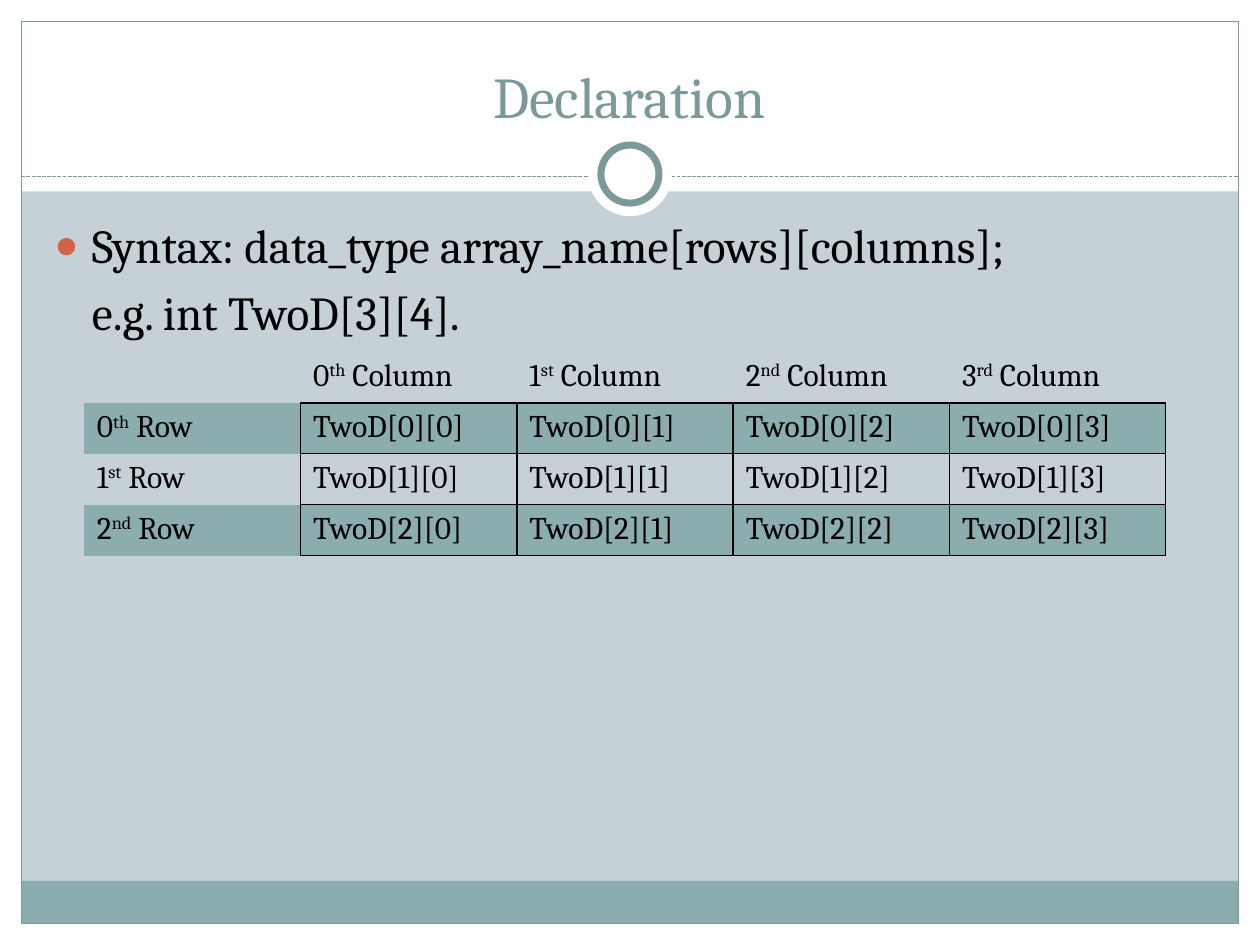
from collections import namedtuple

from lxml import etree
from pptx import Presentation
from pptx import util as u
from pptx.dml.color import RGBColor
from pptx.enum import dml, shapes, text
from pptx.oxml.ns import qn

WHITE = RGBColor(0xFF, 0xFF, 0xFF)
BLACK = RGBColor(0x00, 0x00, 0x00)
MIST = RGBColor(0xC5, 0xD1, 0xD7)
TEAL = RGBColor(0x8C, 0xAD, 0xAE)
SLATE = RGBColor(0x7C, 0x99, 0x9A)
RUST = RGBColor(0xD1, 0x63, 0x49)
FONT = "Cambria"

Box = namedtuple("Box", "left top width height")
PAGE = Box(0, 0, u.Cm(25.4), u.Cm(19.05))
TITLE = Box(u.Cm(0.84), u.Cm(0.64), u.Cm(23.7), u.Cm(2.11))
BODY = Box(u.Cm(0.84), u.Cm(4.24), u.Cm(23.62), u.Cm(12.7))
GRID = Box(u.Cm(1.7), u.Cm(7.09), u.Cm(21.8), u.Cm(4.11))

ORDINALS = [("0", "th"), ("1", "st"), ("2", "nd"), ("3", "rd")]
ROWS, COLUMNS = 3, 4


def format_runs(paragraph, size, color):
    for run in paragraph.runs:
        run.font.size = u.Pt(size)
        run.font.name = FONT
        run.font.color.rgb = color


def add_child(parent, tag, **attributes):
    child = etree.SubElement(parent, qn(tag))
    for key, value in attributes.items():
        child.set(key, str(value))
    return child


def place(shape, box):
    shape.left, shape.top, shape.width, shape.height = box


def add_plain(slide, kind, box, fill=None, line=None, weight=0.75):
    shape = slide.shapes.add_shape(kind, *box)
    shape.shadow.inherit = False
    if fill is None:
        shape.fill.background()
    else:
        shape.fill.solid()
        shape.fill.fore_color.rgb = fill
    if line is None:
        shape.line.fill.background()
    else:
        shape.line.color.rgb = line
        shape.line.width = u.Pt(weight)


def draw_frame(slide, box):
    """White margins, footer band, outline, dashed rule and ring."""
    rect, oval = shapes.MSO_SHAPE.RECTANGLE, shapes.MSO_SHAPE.OVAL
    margin, header, band = u.Cm(0.43), u.Cm(3.86), u.Cm(0.86)
    right, bottom = box.left + box.width, box.top + box.height
    inner = Box(box.left + margin, box.top + margin,
                box.width - 2 * margin, box.height - 2 * margin)

    for strip in (
        Box(box.left, bottom - margin, box.width, margin),
        Box(box.left, box.top, box.width, header),
        Box(box.left, box.top, margin, box.height),
        Box(right - margin, box.top, margin, box.height),
    ):
        add_plain(slide, rect, strip, WHITE)
    footer = Box(inner.left, bottom - margin - band, inner.width, band)
    add_plain(slide, rect, footer, TEAL)
    add_plain(slide, rect, inner, line=SLATE)

    rule_top = box.top + u.Cm(3.56)
    rule = slide.shapes.add_connector(
        shapes.MSO_CONNECTOR.STRAIGHT,
        inner.left, rule_top, inner.left + inner.width, rule_top)
    rule.line.color.rgb = SLATE
    rule.line.width = u.Pt(0.75)
    rule.line.dash_style = dml.MSO_LINE.SQUARE_DOT
    add_child(rule.element.spPr, "a:effectLst")

    center_x, center_y = box.left + box.width // 2, box.top + u.Cm(3.51)
    for diameter, line in ((u.Cm(1.7), None), (u.Cm(1.17), SLATE)):
        ring = Box(center_x - diameter // 2, center_y - diameter // 2,
                   diameter, diameter)
        add_plain(slide, oval, ring, WHITE, line, weight=4)


def fill_title(title, box):
    place(title, box)
    frame = title.text_frame
    frame.text = "Declaration"
    frame.auto_size = text.MSO_AUTO_SIZE.NONE
    frame.vertical_anchor = text.MSO_ANCHOR.BOTTOM
    frame.paragraphs[0].alignment = text.PP_ALIGN.CENTER
    format_runs(frame.paragraphs[0], 33, SLATE)


def fill_syntax(body, box):
    place(body, box)
    frame = body.text_frame
    frame.text = ("Syntax: data_type array_name[rows][columns];\n"
                  "e.g. int TwoD[3][4].")
    frame.auto_size = text.MSO_AUTO_SIZE.NONE
    hanging = u.Cm(0.76)
    syntax, example = frame.paragraphs
    for paragraph, indent in ((syntax, -hanging), (example, 0)):
        format_runs(paragraph, 27, BLACK)
        properties = paragraph._p.get_or_add_pPr()
        properties.set("marL", str(hanging))
        properties.set("indent", str(indent))
    bullet = syntax._p.pPr
    add_child(add_child(bullet, "a:buClr"), "a:srgbClr", val=RUST)
    add_child(bullet, "a:buSzPct", val=85000)
    add_child(bullet, "a:buChar", char="●")
    add_child(example._p.pPr, "a:buNone")


def set_borders(cell, sides):
    """Draw the given sides (letters of LRTB) and clear the others."""
    properties = cell._tc.get_or_add_tcPr()
    for side in "LRTB":
        border = add_child(properties, f"a:ln{side}", w=u.Pt(1))
        if side in sides:
            add_child(add_child(border, "a:solidFill"), "a:srgbClr", val=BLACK)
        else:
            add_child(border, "a:noFill")


def shade(cell):
    cell.fill.solid()
    cell.fill.fore_color.rgb = TEAL
    tint = cell._tc.tcPr.find(".//" + qn("a:srgbClr"))
    add_child(tint, "a:alpha", val=20000)


def write_ordinal(cell, ordinal, noun):
    digit, suffix = ordinal
    paragraph = cell.text_frame.paragraphs[0]
    for part in (digit, suffix, f" {noun}"):
        run = paragraph.add_run()
        run.text = part
        if part == suffix:
            run.font._element.set("baseline", "30000")


def draw_grid(slide, box):
    grid = slide.shapes.add_table(ROWS + 1, COLUMNS + 1, *box).table
    grid.first_row = grid.horz_banding = False
    for r in range(ROWS + 1):
        for c in range(COLUMNS + 1):
            cell = grid.cell(r, c)
            if r and c:
                cell.text_frame.text = f"TwoD[{r - 1}][{c - 1}]"
                set_borders(cell, "LRTB")
            elif r:
                write_ordinal(cell, ORDINALS[r - 1], "Row")
                set_borders(cell, "R")
            elif c:
                write_ordinal(cell, ORDINALS[c - 1], "Column")
                set_borders(cell, "B")
            else:
                set_borders(cell, "")
            if r % 2:
                shade(cell)
            else:
                cell.fill.background()
            format_runs(cell.text_frame.paragraphs[0], 18, BLACK)


def main():
    deck = Presentation()
    deck.slide_width, deck.slide_height = PAGE.width, PAGE.height
    slide = deck.slides.add_slide(deck.slide_layouts[1])
    slide.background.fill.solid()
    slide.background.fill.fore_color.rgb = MIST

    title, body = slide.placeholders
    draw_frame(slide, PAGE)
    for placeholder in (title, body):  # bring the text in front of the frame
        placeholder.element.getparent().append(placeholder.element)
    fill_title(title, TITLE)
    fill_syntax(body, BODY)
    draw_grid(slide, GRID)
    deck.save("out.pptx")


if __name__ == "__main__":
    main()
